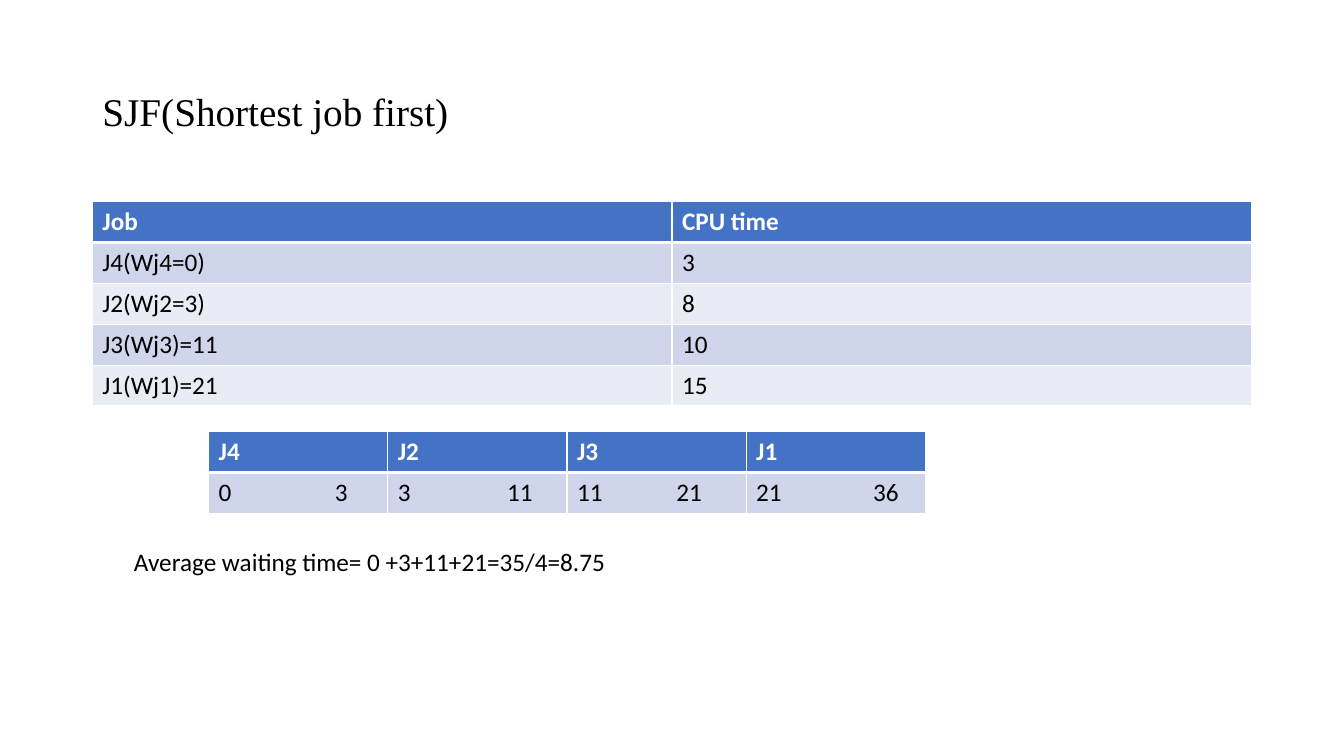
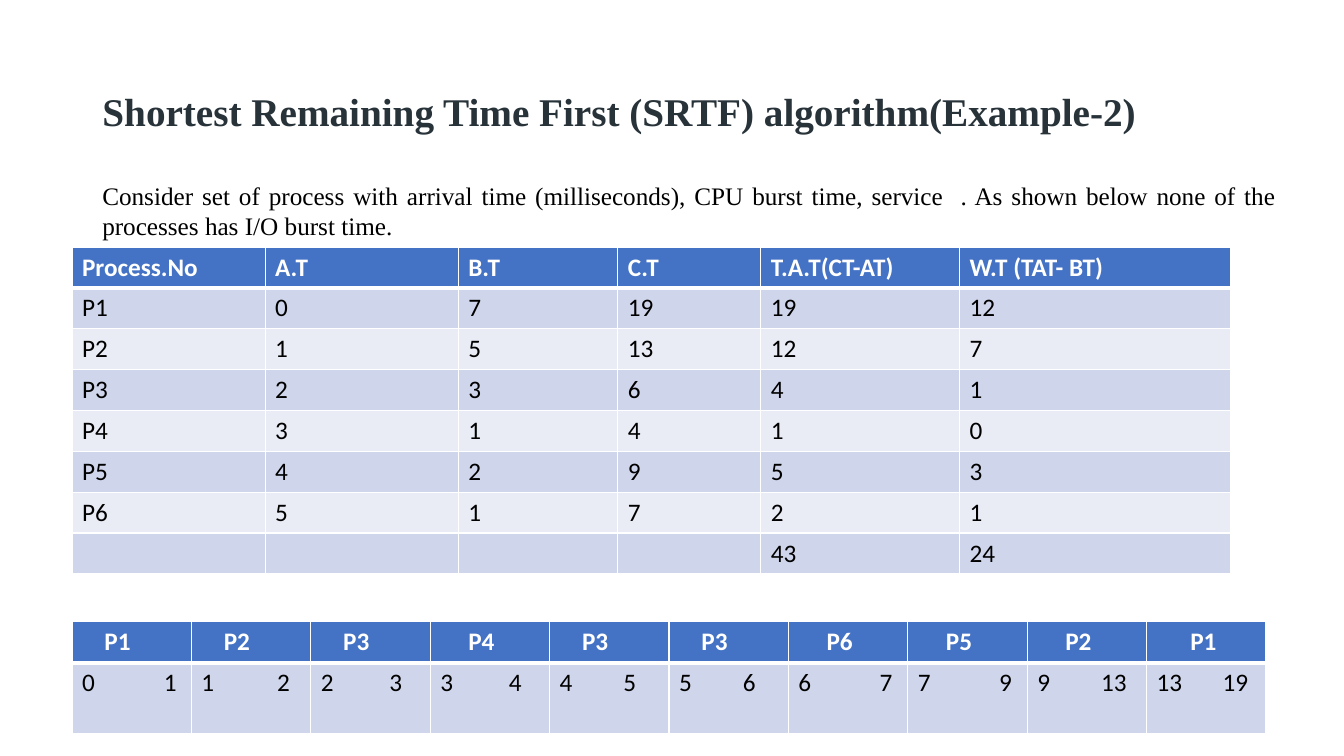
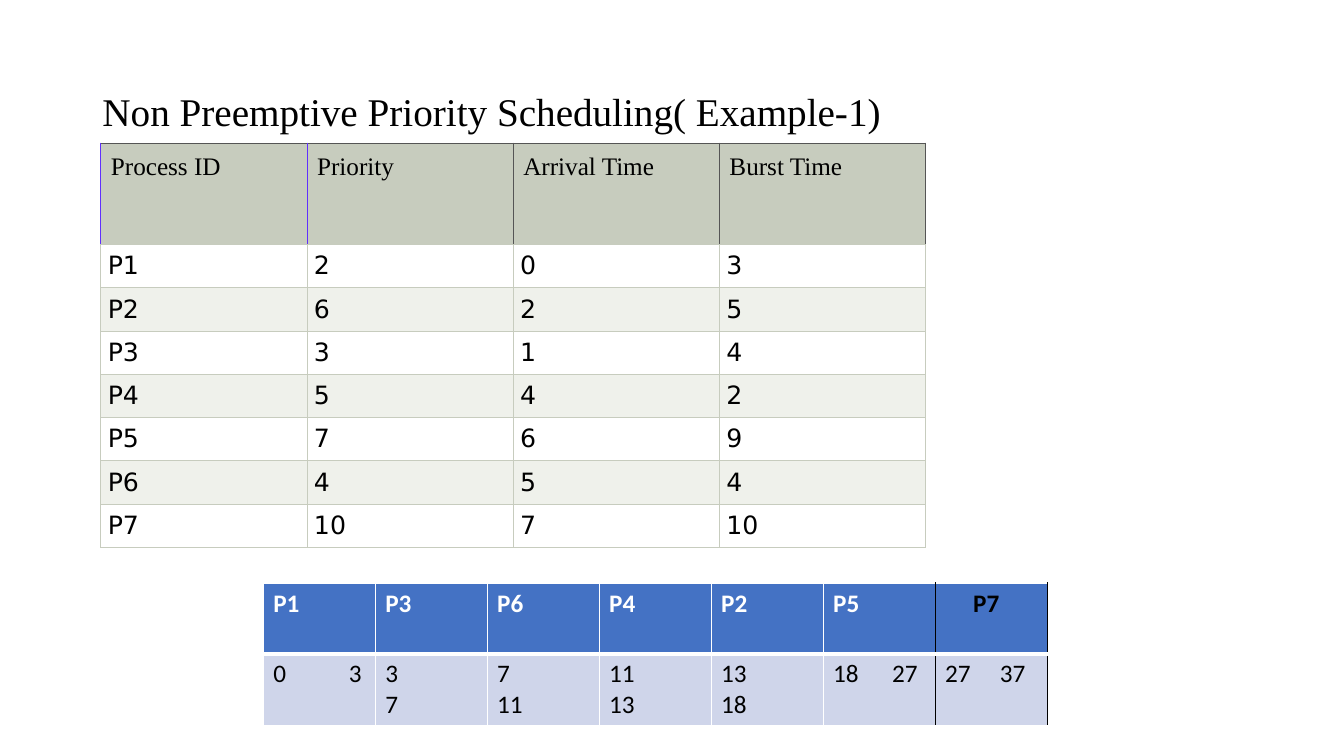
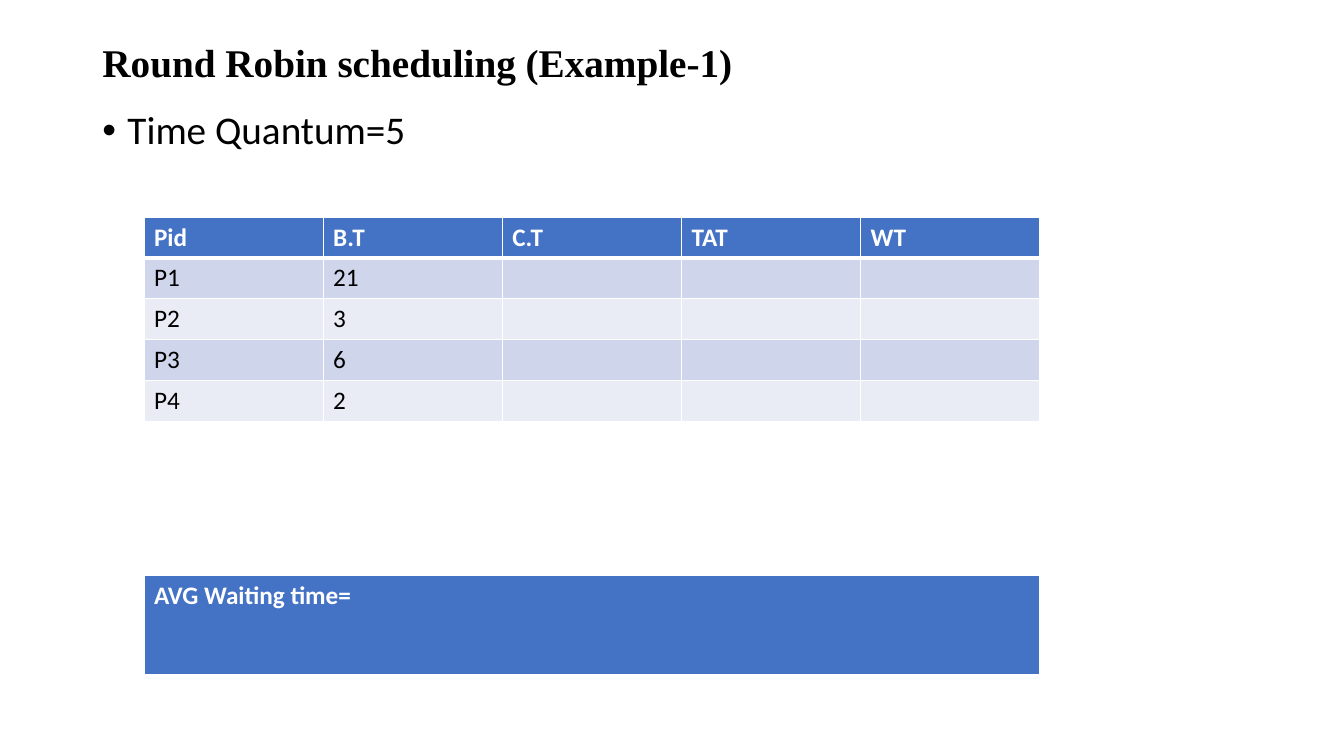
import pptx
import pptx.util
import pptx.dml.color
import pptx.enum.text
import pptx.oxml.ns
import lxml.etree

Pt = pptx.util.Pt
RGB = pptx.dml.color.RGBColor
Align = pptx.enum.text.PP_ALIGN
Anchor = pptx.enum.text.MSO_ANCHOR

WHITE = RGB(0xFF, 0xFF, 0xFF)
BLACK = RGB(0, 0, 0)
SLATE = RGB(0x27, 0x32, 0x39)
BLUE = RGB(0x44, 0x72, 0xC4)
PALE = RGB(0xCF, 0xD5, 0xEA)
MIST = RGB(0xE9, 0xEB, 0xF5)
SAGE = RGB(0xC7, 0xCC, 0xBE)
CREAM = RGB(0xEF, 0xF1, 0xEB)
VIOLET = RGB(0x60, 0x2F, 0xFD)
DARK = RGB(0x55, 0x55, 0x55)

SANS = "Calibri"
SERIF = "Times New Roman"
ROW = 29.2


def node(parent, tag, **attrs):
    return lxml.etree.SubElement(parent, pptx.oxml.ns.qn("a:" + tag), attrs)


def write(frame, text, font=SANS, size=18, color=BLACK, bold=False,
          align=Align.LEFT, line=None, lead=0, hang=0, tab=0):
    frame.text = text
    frame.word_wrap = True
    for para in frame.paragraphs:
        para.alignment = align
        if line:
            para.line_spacing = line
        props = para._p.get_or_add_pPr()
        if lead:
            props.set("marL", str(Pt(lead)))
        if hang:
            props.set("indent", str(-Pt(hang)))
            node(props, "buFont", typeface="Arial")
            node(props, "buChar", char="•")
        if tab:
            stops = node(props, "tabLst")
            node(stops, "tab", pos=str(Pt(tab)), algn="l")
        for run in para.runs:
            run.font.name = font
            run.font.size = Pt(size)
            run.font.bold = bold
            run.font.color.rgb = color


def plain_edge(row, col, side):
    return WHITE, 3 if (row, side) in ((0, "B"), (1, "T")) else 1


def last_edge(row, col, side):
    if col == 6 and side in "LR" or col == 5 and side == "R":
        return BLACK, 1
    return plain_edge(row, col, side)


def sage_edge(row, col, side):
    if row or side == "B":
        return SAGE, 0.6
    violet = side == "L" and col < 2 or side == "R" and col == 0
    return (VIOLET if violet else DARK), 0.6


PLAIN = dict(fills=(BLUE, PALE, MIST), edge=plain_edge, pads=(None, None),
             head=dict(color=WHITE, bold=True), body={})
LAST = dict(PLAIN, edge=last_edge)
GREEN = dict(fills=(SAGE, WHITE, CREAM), edge=sage_edge, pads=(7.2, 5),
             head=dict(font=SERIF), body=dict(font="DejaVu Sans"))


class Deck:
    """Holds the shared style and the current slide."""

    def __init__(self):
        self.file = pptx.Presentation()
        self.file.slide_width = Pt(960)
        self.file.slide_height = Pt(540)

    def start(self, title, high=104.4, **style):
        self.slide = self.file.slides.add_slide(self.file.slide_layouts[5])
        shape = self.slide.shapes.title
        shape.left, shape.top = Pt(66), Pt(28.8)
        shape.width, shape.height = Pt(828), Pt(high)
        frame = shape.text_frame
        frame.vertical_anchor = Anchor.MIDDLE
        frame.auto_size = pptx.enum.text.MSO_AUTO_SIZE.NONE
        write(frame, title, font=SERIF, size=28, line=0.9, **style)

    def label(self, left, top, wide, high, text, **style):
        box = self.slide.shapes.add_textbox(
            Pt(left), Pt(top), Pt(wide), Pt(high))
        write(box.text_frame, text, **style)

    def table(self, left, top, wides, highs, rows, look=PLAIN):
        grid = self.slide.shapes.add_table(
            len(rows), len(wides), Pt(left), Pt(top),
            Pt(sum(wides)), Pt(sum(highs))).table
        for col, wide in zip(grid.columns, wides):
            col.width = Pt(wide)
        for r, (row, high) in enumerate(zip(rows, highs)):
            grid.rows[r].height = Pt(high)
            for c, item in enumerate(row):
                self.cell(grid.cell(r, c), r, c, item, look)

    def cell(self, cell, r, c, item, look):
        style = item if isinstance(item, dict) else dict(text=item)
        write(cell.text_frame,
              **{**look["body" if r else "head"], **style})
        pad = look["pads"][min(r, 1)]
        if pad:
            cell.margin_left = cell.margin_right = Pt(pad)
            cell.margin_top = cell.margin_bottom = Pt(pad)
        props = cell._tc.get_or_add_tcPr()
        for side in "LRTB":
            color, wide = look["edge"](r, c, side)
            line = node(props, "ln" + side, w=str(Pt(wide)))
            node(node(line, "solidFill"), "srgbClr", val=str(color))
        cell.fill.solid()
        cell.fill.fore_color.rgb = look["fills"][2 - r % 2 if r else 0]

    def gantt(self, left, top, wide, highs, bars, look=PLAIN):
        heads = [dict(text=job, lead=lead) for job, lead, *_ in bars]
        spans = [dict(text=span, tab=tab) for _, _, span, tab in bars]
        if look is LAST:
            heads[-1]["color"] = BLACK
        self.table(left, top, [wide] * len(bars), highs,
                   [heads, spans], look)


deck = Deck()

deck.start("SJF(Shortest job first)")
deck.table(66, 144, [414] * 2, [ROW] * 5, [
    ("Job", "CPU time"),
    ("J4(Wj4=0)", "3"),
    ("J2(Wj2=3)", "8"),
    ("J3(Wj3)=11", "10"),
    ("J1(Wj1)=21", "15")])
deck.label(88.6, 386.6, 805, 29,
           "Average waiting time= 0 +3+11+21=35/4=8.75")
deck.gantt(149, 308.2, 128, [ROW] * 2, [
    ("J4", 0, "0\t3", 83),
    ("J2", 0, "3\t11", 78),
    ("J3", 0, "11\t21", 71),
    ("J1", 0, "21\t36", 83.5)])

deck.start("Shortest Remaining Time First (SRTF) algorithm(Example-2)",
           color=SLATE, bold=True)
deck.table(51.4, 176.4, [138, 138, 114, 102, 142, 193.5], [ROW] * 8, [
    ("Process.No", "A.T", "B.T", "C.T", "T.A.T(CT-AT)", "W.T (TAT- BT)"),
    ("P1", "0", "7", "19", "19", "12"),
    ("P2", "1", "5", "13", "12", "7"),
    ("P3", "2", "3", "6", "4", "1"),
    ("P4", "3", "1", "4", "1", "0"),
    ("P5", "4", "2", "9", "5", "3"),
    ("P6", "5", "1", "7", "2", "1"),
    ("", "", "", "", "43", "24")])
deck.label(66, 125.3, 853, 51,
           "Consider set of process with arrival time (milliseconds), "
           "CPU burst time, service  . As shown below none of the "
           "processes has I/O burst time.",
           font=SERIF, align=Align.JUSTIFY)
deck.gantt(51.4, 444.2, 85.3, [ROW, 50.6], [
    ("P1", 16, "0\t1", 58.5),
    ("P2", 16, "1\t2", 54),
    ("P3", 16, "2\t3", 49),
    ("P4", 20, "3\t4", 49),
    ("P3", 16, "4\t5", 45.5),
    ("P3", 16, "5\t6", 45.5),
    ("P6", 20, "6\t7", 58),
    ("P5", 20, "7\t9", 58),
    ("P2", 20, "9\t13", 45.5),
    ("P1", 24, "13\t19", 47)])

deck.start("Non Preemptive Priority Scheduling( Example-1)")
deck.table(72, 102.2, [147.3] * 4, [72.5] + [30.5] * 7, [
    ("Process ID", "Priority", "Arrival Time", "Burst Time"),
    ("P1", "2", "0", "3"),
    ("P2", "6", "2", "5"),
    ("P3", "3", "1", "4"),
    ("P4", "5", "4", "2"),
    ("P5", "7", "6", "9"),
    ("P6", "4", "5", "4"),
    ("P7", "10", "7", "10")], GREEN)
deck.gantt(188, 416.5, 80, [50.4] * 2, [
    ("P1", 0, "0\t3", 54),
    ("P3", 0, "3\n7", 0),
    ("P6", 0, "7\n11", 0),
    ("P4", 0, "11\n13", 0),
    ("P2", 0, "13\n18", 0),
    ("P5", 0, "18\t27", 42),
    ("P7", 20, "27\t37", 39)], LAST)

deck.start("Round Robin scheduling (Example-1)", high=35.3, bold=True)
deck.label(66, 75.6, 828, 40, "Time Quantum=5",
           size=28, line=0.9, lead=18, hang=18)
deck.table(102.8, 155, [128] * 5, [ROW] * 5, [
    ("Pid", "B.T", "C.T", "TAT", "WT"),
    ("P1", "21", "", "", ""),
    ("P2", "3", "", "", ""),
    ("P3", "6", "", "", ""),
    ("P4", "2", "", "", "")])
deck.table(102.8, 411, [640], [72], [("AVG Waiting time=",)])

deck.file.save("out.pptx")
